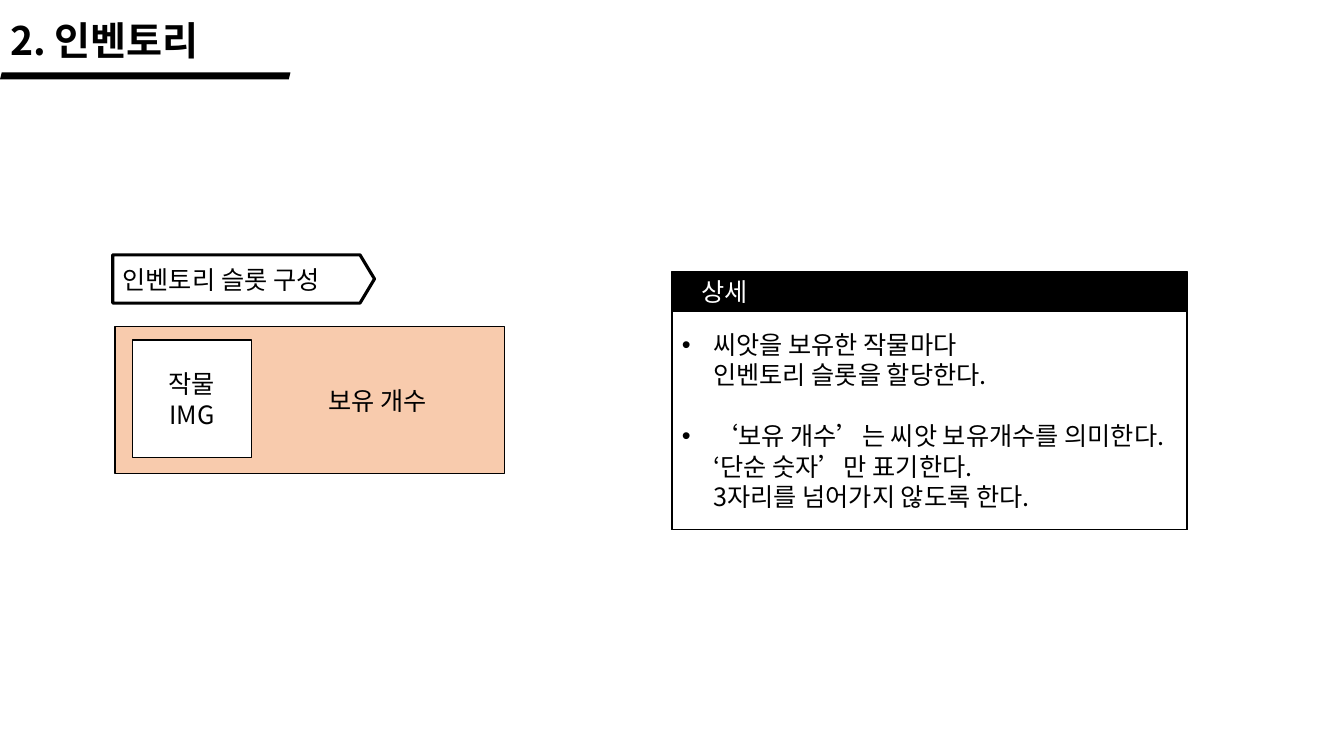
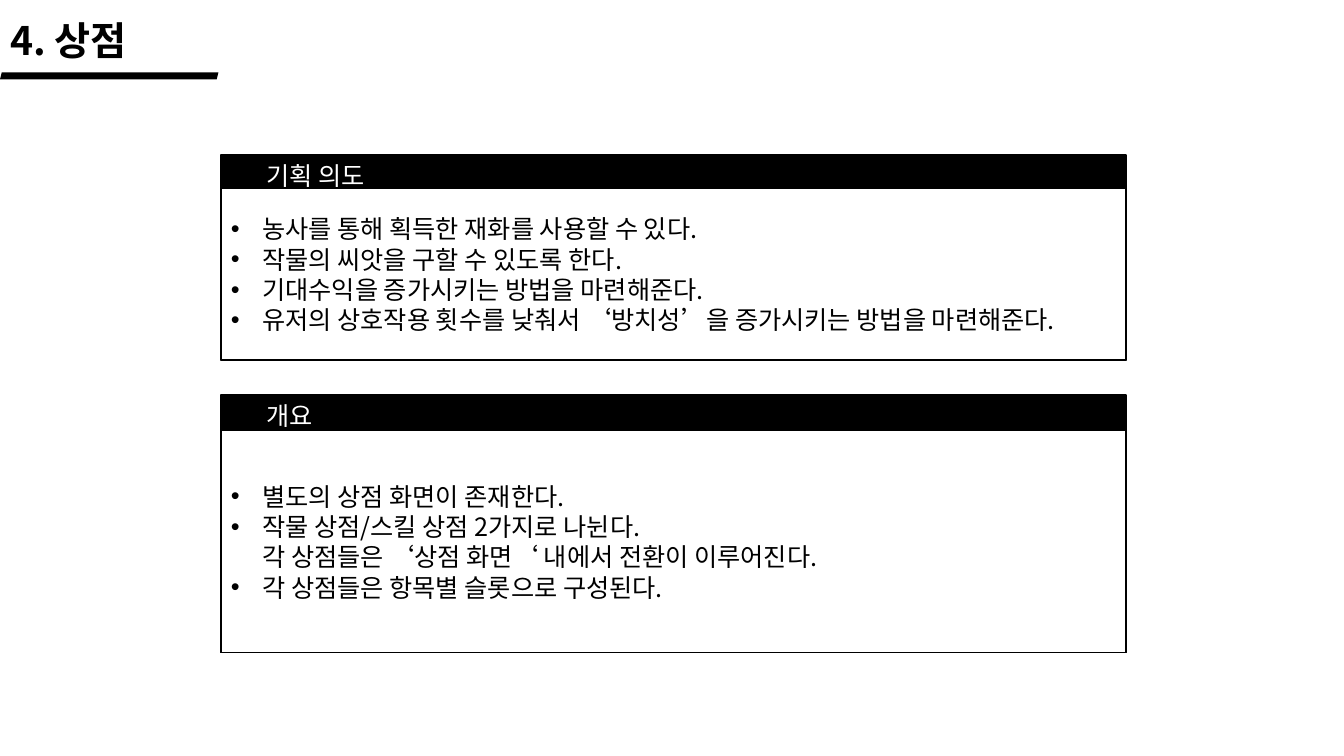
from dataclasses import dataclass

from lxml import etree
from pptx import Presentation
from pptx import util as u
from pptx.dml.color import RGBColor
from pptx.enum import shapes, text
from pptx.oxml.ns import qn

Pt = u.Pt


@dataclass(frozen=True)
class Theme:
    font: str = "Noto Sans CJK KR"
    ink: RGBColor = RGBColor(0, 0, 0)
    paper: RGBColor = RGBColor(255, 255, 255)
    slot: RGBColor = RGBColor(0xF8, 0xCB, 0xAD)
    title_size: int = 28
    body_size: int = 18
    leading: float = 1.207
    indent: float = 22.5
    border: float = 1


class Builder:
    def __init__(self, theme):
        self.theme = theme
        self.deck = Presentation()
        self.deck.slide_width, self.deck.slide_height = Pt(960), Pt(540)
        self.page = None

    def set_text(self, box, lines, color=None, size=None, bold=False, center=False,
                 middle=True, bullets=False, gap=0):
        theme = self.theme
        size = size or theme.body_size
        frame = box.text_frame
        frame.word_wrap = True
        frame.auto_size = text.MSO_AUTO_SIZE.NONE
        frame.vertical_anchor = text.MSO_ANCHOR.MIDDLE if middle else text.MSO_ANCHOR.TOP
        frame.margin_left = frame.margin_right = Pt(7.2)
        frame.margin_top = frame.margin_bottom = Pt(3.6)
        frame.text = "\n".join(lines)
        for index, para in enumerate(frame.paragraphs):
            para.alignment = text.PP_ALIGN.CENTER if center else text.PP_ALIGN.LEFT
            para.line_spacing = Pt(size * theme.leading)
            para.space_before = Pt(gap if index else 0)
            if bullets:
                self.bullet(para)
            for span in para.runs:
                span.font.name = theme.font
                span.font.size = Pt(size)
                span.font.bold = bold
                span.font.color.rgb = theme.ink if color is None else color
                latin = span.font._element.find(qn("a:latin"))
                east_asian = etree.Element(qn("a:ea"), typeface=theme.font)
                latin.addnext(east_asian)

    def bullet(self, para):
        props = para._p.get_or_add_pPr()
        indent = Pt(self.theme.indent)
        props.set("marL", str(indent))
        props.set("indent", str(-indent))
        etree.SubElement(props, qn("a:buFont"), typeface="Arial")
        etree.SubElement(props, qn("a:buChar"), char="•")

    def title(self, words, width, rule_width):
        self.page = self.deck.slides.add_slide(self.deck.slide_layouts[5])
        box = self.page.shapes.title
        box.left, box.top, box.width, box.height = Pt(0), Pt(8), Pt(width), Pt(41)
        self.set_text(box, [words], size=self.theme.title_size, bold=True, middle=False)
        self.shape(0, 51.8, rule_width, 5, self.theme.ink,
                   kind=shapes.MSO_SHAPE.PARALLELOGRAM, border=0)

    def shape(self, left, top, width, height, fill,
              kind=shapes.MSO_SHAPE.RECTANGLE, border=None):
        box = self.page.shapes.add_shape(kind, Pt(left), Pt(top), Pt(width), Pt(height))
        box.shadow.inherit = False
        box.fill.solid()
        box.fill.fore_color.rgb = fill
        border = self.theme.border if border is None else border
        if border:
            box.line.color.rgb = self.theme.ink
            box.line.width = Pt(border)
        else:
            box.line.fill.background()
        return box

    def label(self, left, top, width, height, words, **style):
        box = self.page.shapes.add_textbox(Pt(left), Pt(top), Pt(width), Pt(height))
        self.set_text(box, [words], **style)

    def tag(self, left, top, width, height, words):
        box = self.shape(left, top, width, height, self.theme.paper,
                         kind=shapes.MSO_SHAPE.PENTAGON, border=2.25)
        box.adjustments[0] = 0.3
        self.set_text(box, [words])

    def panel(self, left, top, width, height, header, inset, heading, lines, gap=0):
        theme = self.theme
        self.shape(left, top, width, height, theme.ink)
        body = self.shape(left, top + header, width, height - header, theme.paper)
        self.set_text(body, lines, bullets=True, gap=gap)
        self.label(left + inset, top, width - 2 * inset, 29, heading,
                   color=theme.paper, middle=False)


def inventory(builder):
    theme = builder.theme
    builder.title("2. 인벤토리", 221, 207.5)
    builder.shape(82.2, 233.3, 278, 105, theme.slot)
    image_box = builder.shape(94.5, 242.8, 85, 84, theme.paper)
    builder.set_text(image_box, ["작물\vIMG"], center=True)
    builder.label(213, 271.5, 114, 29, "보유 개수", center=True)
    builder.tag(80.5, 182, 187, 34.5, "인벤토리 슬롯 구성")
    builder.panel(480, 193.8, 368, 184.5, 28.5, 13.7, "상세", [
        "씨앗을 보유한 작물마다\v인벤토리 슬롯을 할당한다.",
        "‘보유 개수’는 씨앗 보유개수를 의미한다.\v‘단순 숫자’만 표기한다.\v"
        "3자리를 넘어가지 않도록 한다.",
    ], gap=theme.body_size * theme.leading)


def shop(builder):
    left, width, inset = 157.8, 646.5, 25.2
    builder.title("4. 상점", 166, 156)
    builder.panel(left, 110.8, width, 146.5, 23.5, inset, "기획 의도", [
        "농사를 통해 획득한 재화를 사용할 수 있다.",
        "작물의 씨앗을 구할 수 있도록 한다.",
        "기대수익을 증가시키는 방법을 마련해준다.",
        "유저의 상호작용 횟수를 낮춰서 ‘방치성’을 증가시키는 방법을 마련해준다.",
    ])
    builder.panel(left, 282.2, width, 183.8, 25.5, inset, "개요", [
        "별도의 상점 화면이 존재한다.",
        "작물 상점/스킬 상점 2가지로 나뉜다.\v"
        "각 상점들은 ‘상점 화면‘ 내에서 전환이 이루어진다.",
        "각 상점들은 항목별 슬롯으로 구성된다.",
    ])


def main():
    builder = Builder(Theme())
    inventory(builder)
    shop(builder)
    builder.deck.save("out.pptx")


if __name__ == "__main__":
    main()
